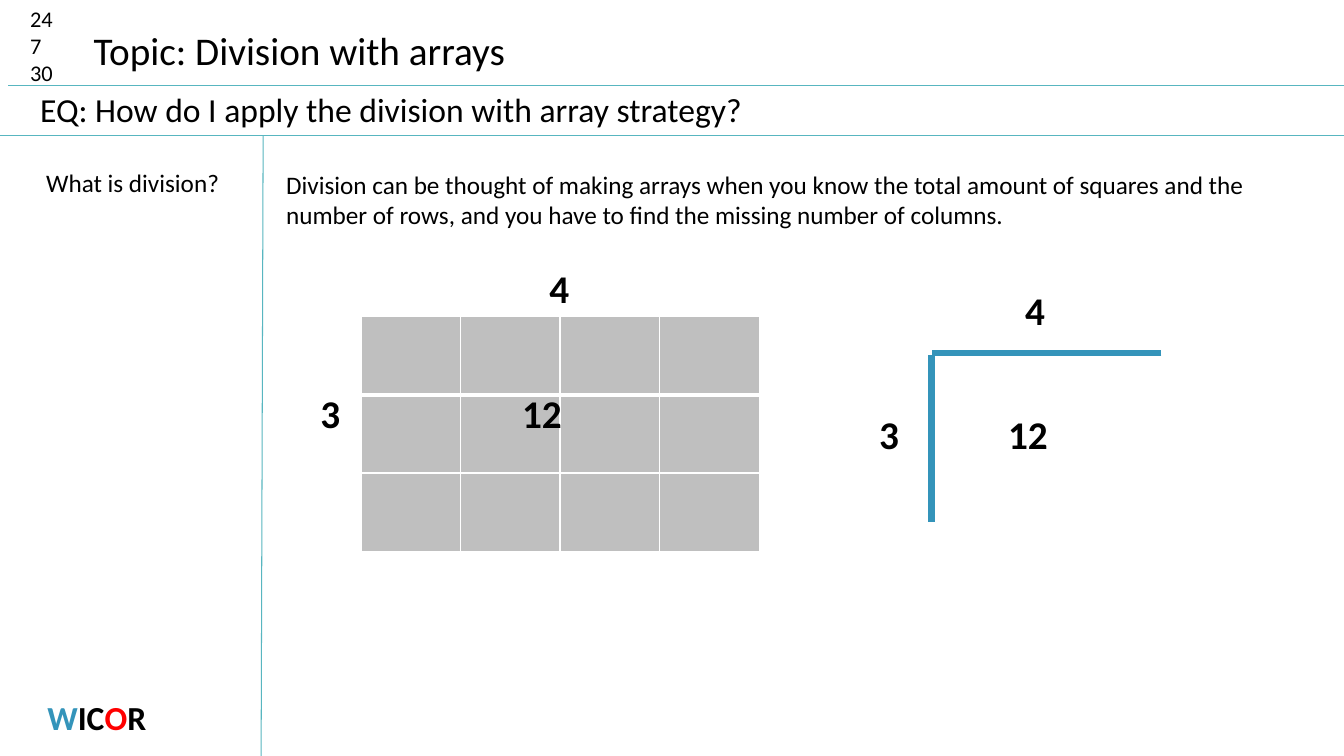
from lxml import etree
from pptx import Presentation
from pptx.dml.color import RGBColor
from pptx.enum.shapes import MSO_CONNECTOR
from pptx.enum.text import MSO_AUTO_SIZE, PP_ALIGN
from pptx.oxml import parse_xml
from pptx.oxml.ns import nsdecls, qn
from pptx.util import Inches, Pt

STRAIGHT = MSO_CONNECTOR.STRAIGHT
GROW = MSO_AUTO_SIZE.SHAPE_TO_FIT_TEXT
CENTER = PP_ALIGN.CENTER
BLACK = RGBColor(0x00, 0x00, 0x00)
RED = RGBColor(0xFF, 0x00, 0x00)
BLUE = RGBColor(0x34, 0x94, 0xBA)
TEAL = RGBColor(0x58, 0xB6, 0xC0)
GRAY = RGBColor(0xBF, 0xBF, 0xBF)

deck = Presentation()
deck.slide_width = Inches(13.33)
deck.slide_height = Inches(7.5)
slide = deck.slides.add_slide(deck.slide_layouts[6])


def add_line(x1, y1, x2, y2, color, width):
    line = slide.shapes.add_connector(
        STRAIGHT, Inches(x1), Inches(y1), Inches(x2), Inches(y2))
    line.line.color.rgb = color
    line.line.width = Pt(width)
    etree.SubElement(line._element.spPr, qn("a:effectLst"))


def add_text(text, left, top, width, height, size, wrap=True, bold=False):
    box = slide.shapes.add_textbox(
        Inches(left), Inches(top), Inches(width), Inches(height))
    frame = box.text_frame
    frame.text = text
    frame.word_wrap = wrap
    frame.auto_size = GROW
    for para in frame.paragraphs:
        for run in para.runs:
            run.font.name = "Calibri"
            run.font.size = Pt(size)
            run.font.bold = bold
            run.font.color.rgb = BLACK
    return frame


add_line(0.08, 0.85, 13.33, 0.85, TEAL, 0.75)
add_line(0, 1.34, 13.33, 1.34, TEAL, 0.75)
add_line(2.61, 1.34, 2.59, 7.5, TEAL, 0.75)

add_text("24\n7\n30", 0.2, 0, 0.63, 0.91, 16)
add_text("Topic: Division with arrays", 0.83, 0.21, 4.33, 0.57, 28, wrap=False)
add_text("EQ: How do I apply the division with array strategy?",
         0.3, 0.83, 11.64, 0.5, 24)
add_text("What is division?", 0.36, 1.61, 1.93, 0.4, 18)
add_text("Division can be thought of making arrays when you know the total "
         "amount of squares and the number of rows, and you have to find the "
         "missing number of columns.", 2.74, 1.63, 10.27, 0.71, 18)

wicor = add_text("W", -0.15, 6.86, 2.22, 0.5, 24, bold=True).paragraphs[0]
wicor.alignment = CENTER
for part in ("IC", "O", "R"):
    wicor.add_run().text = part
for run, color in zip(wicor.runs, (BLUE, BLACK, RED, BLACK)):
    run.font.name = "Calibri"
    run.font.size = Pt(24)
    run.font.bold = True
    run.font.color.rgb = color

ROWS, COLS = 3, 4
array = slide.shapes.add_table(
    ROWS, COLS, Inches(3.58), Inches(3.14), Inches(3.95), Inches(2.33)).table
for row in range(ROWS):
    for col in range(COLS):
        cell = array.cell(row, col)
        props = cell._tc.get_or_add_tcPr()
        thick = {"T": row == 1, "B": row == 0}
        for side in "LRTB":
            width = Pt(3 if thick.get(side) else 1)
            props.append(parse_xml(
                f'<a:ln{side} {nsdecls("a")} w="{width}"><a:solidFill>'
                f'<a:srgbClr val="FFFFFF"/></a:solidFill></a:ln{side}>'))
        cell.fill.solid()
        cell.fill.fore_color.rgb = GRAY

add_line(9.24, 3.52, 9.24, 5.18, BLUE, 4.5)
add_line(11.52, 3.5, 9.24, 3.5, BLUE, 4.5)

for text, left, top, width in (
        ("12", 5.08, 3.81, 0.62), ("3", 3.08, 3.81, 0.41),
        ("4", 5.35, 2.57, 0.41), ("12", 9.9, 4.02, 0.62),
        ("3", 8.62, 4.02, 0.41), ("4", 10.07, 2.79, 0.41)):
    add_text(text, left, top, width, 0.57, 28, wrap=False, bold=True)

deck.save("out.pptx")
